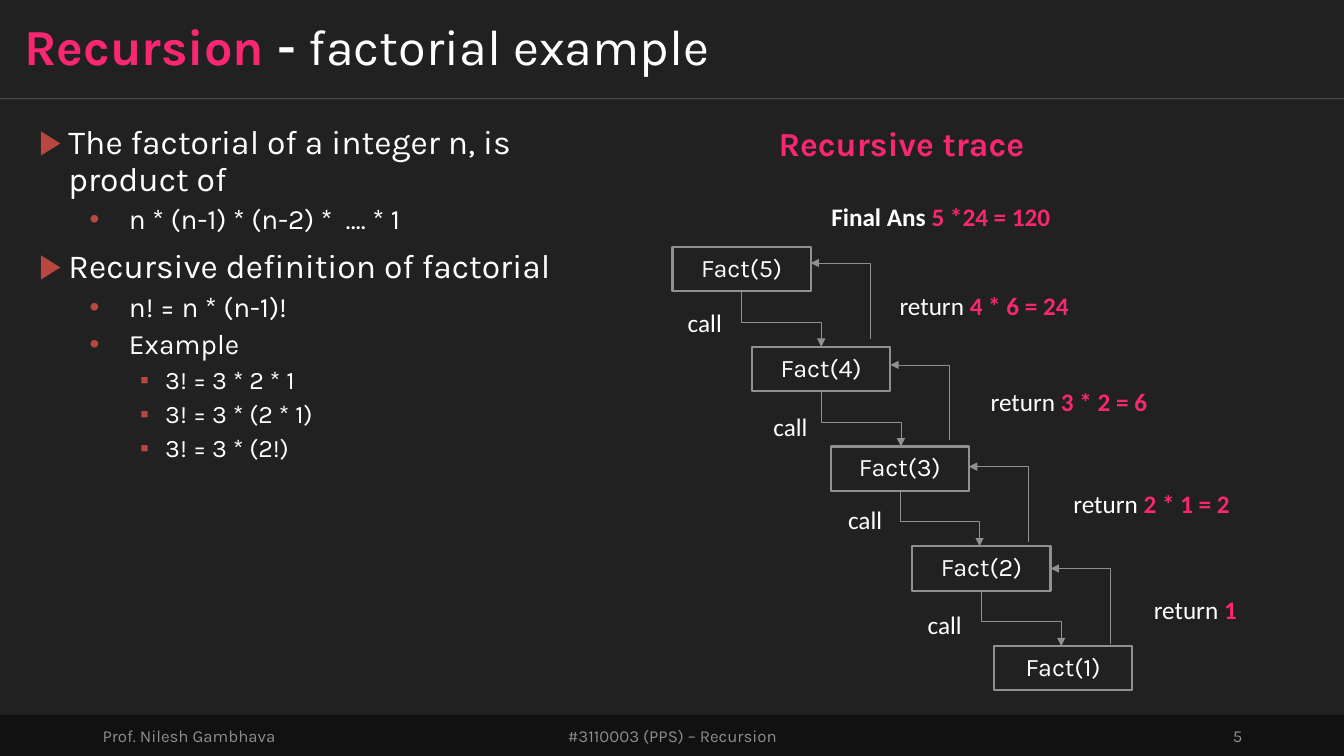
from lxml import etree
from pptx import Presentation
from pptx.dml.color import RGBColor
from pptx.enum.shapes import MSO_CONNECTOR, MSO_SHAPE
from pptx.enum.text import MSO_ANCHOR, MSO_AUTO_SIZE, PP_ALIGN
from pptx.oxml.ns import qn
from pptx.util import Inches, Pt

LEFT, CENTER, RIGHT = PP_ALIGN.LEFT, PP_ALIGN.CENTER, PP_ALIGN.RIGHT
TOP, MIDDLE = MSO_ANCHOR.TOP, MSO_ANCHOR.MIDDLE
STRAIGHT, ELBOW = MSO_CONNECTOR.STRAIGHT, MSO_CONNECTOR.ELBOW
RECTANGLE = MSO_SHAPE.RECTANGLE
NO_AUTOFIT = MSO_AUTO_SIZE.NONE

CHARCOAL = RGBColor(0x21, 0x21, 0x21)
FOOTER_BLACK = RGBColor(0x11, 0x11, 0x11)
FOOTER_GRAY = RGBColor(0x8D, 0x8D, 0x8D)
LINE_GRAY = RGBColor(0x90, 0x90, 0x90)
WHITE = RGBColor(0xFF, 0xFF, 0xFF)
PINK = RGBColor(0xF9, 0x26, 0x72)
BULLET_RED = "B84742"

WIDTH, HEIGHT = 13.33, 7.5
TITLE_HEIGHT = 0.98
FOOTER_TOP = 7.09

presentation = Presentation()
presentation.slide_width = Inches(WIDTH)
presentation.slide_height = Inches(HEIGHT)
slide = presentation.slides.add_slide(presentation.slide_layouts[5])
slide.background.fill.solid()
slide.background.fill.fore_color.rgb = CHARCOAL


def write(shape, *parts, size=18, font="Calibri", align=CENTER, anchor=TOP,
          spacing=1.0, before=0, new_paragraph=False):
    frame = shape.text_frame
    frame.word_wrap = True
    frame.auto_size = NO_AUTOFIT
    frame.vertical_anchor = anchor
    paragraph = frame.add_paragraph() if new_paragraph else frame.paragraphs[0]
    paragraph.alignment = align
    paragraph.line_spacing = spacing
    paragraph.space_before = Pt(before)
    for text, color, bold in parts:
        run = paragraph.add_run()
        run.text = text
        run.font.size = Pt(size)
        run.font.name = font
        run.font.bold = bold
        run.font.color.rgb = color
    return paragraph


def add_line(kind, begin, end, color):
    connector = slide.shapes.add_connector(kind, *map(Inches, begin + end))
    connector.line.width = Pt(0.5)
    connector.line.color.rgb = color
    etree.SubElement(connector._element.spPr, qn("a:effectLst"))
    return connector


title = slide.shapes.title
title.left, title.top = 0, 0
title.width, title.height = Inches(WIDTH), Inches(TITLE_HEIGHT)
title.text_frame.margin_left = title.text_frame.margin_right = Inches(0.24)
title.text_frame.margin_top = title.text_frame.margin_bottom = Inches(0.12)
write(title, ("Recursion ", PINK, True), ("- ", WHITE, True),
      ("factorial example", WHITE, False),
      size=36, font="Karla", align=LEFT, anchor=MIDDLE, spacing=0.9)

divider = add_line(STRAIGHT, (0, TITLE_HEIGHT), (WIDTH, TITLE_HEIGHT), WHITE)
divider_color = divider.line._ln.find(".//" + qn("a:srgbClr"))
etree.SubElement(divider_color, qn("a:alpha"), val="30000")

footer = slide.shapes.add_shape(RECTANGLE, 0, Inches(FOOTER_TOP), Inches(WIDTH),
                                Inches(HEIGHT - FOOTER_TOP))
footer.shadow.inherit = False
footer.fill.solid()
footer.fill.fore_color.rgb = FOOTER_BLACK
footer.line.fill.background()

for text, left, width, align in [
    ("Prof. Nilesh Gambhava", 0.92, 3, LEFT),
    ("#3110003 (PPS) – Recursion", 4.42, 4.5, CENTER),
    ("5", 9.42, 3, RIGHT),
]:
    footer_text = slide.shapes.add_textbox(Inches(left), Inches(7.1), Inches(width), Inches(0.4))
    write(footer_text, (text, FOOTER_GRAY, False), size=12, font="Karla",
          align=align, anchor=MIDDLE)

LEVELS = [
    ("▶", 24, 10, 0.29, 0.29),
    ("•", 20, 5, 0.89, 0.39),
    ("▪", 18, 5, 1.25, 0.25),
]
body = slide.shapes.add_textbox(Inches(0.29), Inches(1.2), Inches(5.99), Inches(3.11))
for index, (level, text) in enumerate([
    (0, "The factorial of a integer n, is product of"),
    (1, "n * (n-1) * (n-2) *  …. * 1"),
    (0, "Recursive definition of factorial"),
    (1, "n! = n * (n-1)!"),
    (1, "Example"),
    (2, "3! = 3 * 2 * 1"),
    (2, "3! = 3 * (2 * 1)"),
    (2, "3! = 3 * (2!)"),
]):
    bullet, size, before, margin, hanging = LEVELS[level]
    paragraph = write(body, (text, WHITE, False), size=size, font="Karla", align=LEFT,
                      spacing=0.9, before=before, new_paragraph=index > 0)
    paragraph.level = level
    properties = paragraph._p.get_or_add_pPr()
    properties.set("marL", str(Inches(margin)))
    properties.set("indent", str(-Inches(hanging)))
    bullet_color = etree.SubElement(properties, qn("a:buClr"))
    etree.SubElement(bullet_color, qn("a:srgbClr"), val=BULLET_RED)
    etree.SubElement(properties, qn("a:buFont"), typeface="Arial")
    etree.SubElement(properties, qn("a:buChar"), char=bullet)

BOX_LEFTS = [6.67, 7.46, 8.24, 9.05, 9.86]
BOX_TOP, BOX_STEP = 2.45, 0.99
BOX_WIDTH, BOX_HEIGHT = 1.37, 0.44
RETURN_TOP, RETURN_STEP = 2.61, 1.01

arrows = []
for index, left in enumerate(BOX_LEFTS):
    top = BOX_TOP + index * BOX_STEP
    box = slide.shapes.add_shape(RECTANGLE, Inches(left), Inches(top),
                                 Inches(BOX_WIDTH), Inches(BOX_HEIGHT))
    box.shadow.inherit = False
    box.fill.solid()
    box.fill.fore_color.rgb = CHARCOAL
    box.line.color.rgb = LINE_GRAY
    box.line.width = Pt(1.5)
    write(box, (f"Fact({5 - index})", WHITE, False), font="Karla", anchor=MIDDLE, spacing=0.9)
    if index < len(BOX_LEFTS) - 1:
        call_x, call_y = left + BOX_WIDTH / 2, top + BOX_HEIGHT
        return_x, return_y = left + BOX_WIDTH, RETURN_TOP + index * RETURN_STEP
        arrows.append((call_x, call_y, call_x + 0.79, call_y + 0.55, 55600))
        arrows.append((return_x + 0.59, return_y + 0.75, return_x, return_y, 100000))

for start_x, start_y, end_x, end_y, bend in arrows:
    center_x, center_y = (start_x + end_x) / 2, (start_y + end_y) / 2
    half_x, half_y = (end_x - start_x) / 2, (end_y - start_y) / 2
    arrow = add_line(ELBOW, (center_x + half_y, center_y - half_x),
                     (center_x - half_y, center_y + half_x), LINE_GRAY)
    properties = arrow._element.spPr
    properties.find(qn("a:xfrm")).set("rot", str(270 * 60000))
    adjustments = properties.find(qn("a:prstGeom")).find(qn("a:avLst"))
    etree.SubElement(adjustments, qn("a:gd"), name="adj1", fmla=f"val {bend}")
    etree.SubElement(arrow.line._ln, qn("a:tailEnd"), type="triangle")

for left, top, width, parts in [
    (6.67, 3, 0.64, [("call", WHITE, False)]),
    (7.52, 4.03, 0.64, [("call", WHITE, False)]),
    (8.26, 4.95, 0.64, [("call", WHITE, False)]),
    (9.05, 6, 0.64, [("call", WHITE, False)]),
    (11.23, 5.85, 1.25, [("return ", WHITE, False), ("1", PINK, True)]),
    (10.42, 4.8, 2.06, [("return ", WHITE, False), ("2 * 1 = 2 ", PINK, True)]),
    (9.6, 3.78, 2.06, [("return ", WHITE, False), ("3 * 2 = 6 ", PINK, True)]),
    (8.76, 2.83, 2.06, [("return ", WHITE, False), ("4 * 6 = 24 ", PINK, True)]),
    (7.89, 1.95, 2.94, [("Final Ans ", WHITE, True), ("5 *24 = 120 ", PINK, True)]),
]:
    label = slide.shapes.add_textbox(Inches(left), Inches(top), Inches(width), Inches(0.4))
    write(label, *parts)

trace_heading = slide.shapes.add_textbox(Inches(7.22), Inches(1.17), Inches(3.44), Inches(0.5))
write(trace_heading, ("Recursive trace", PINK, True), size=24, font="Karla")

presentation.save("out.pptx")
